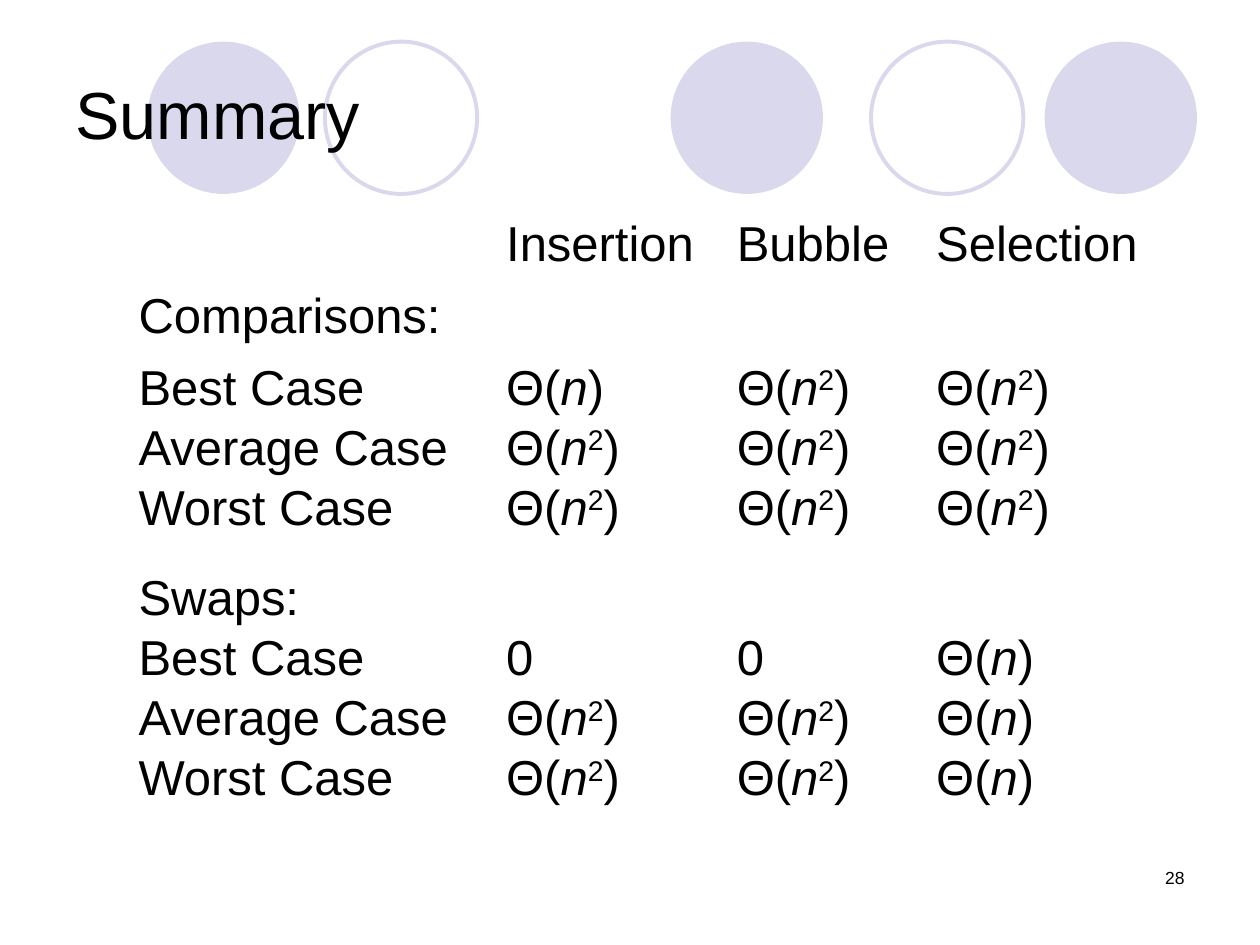
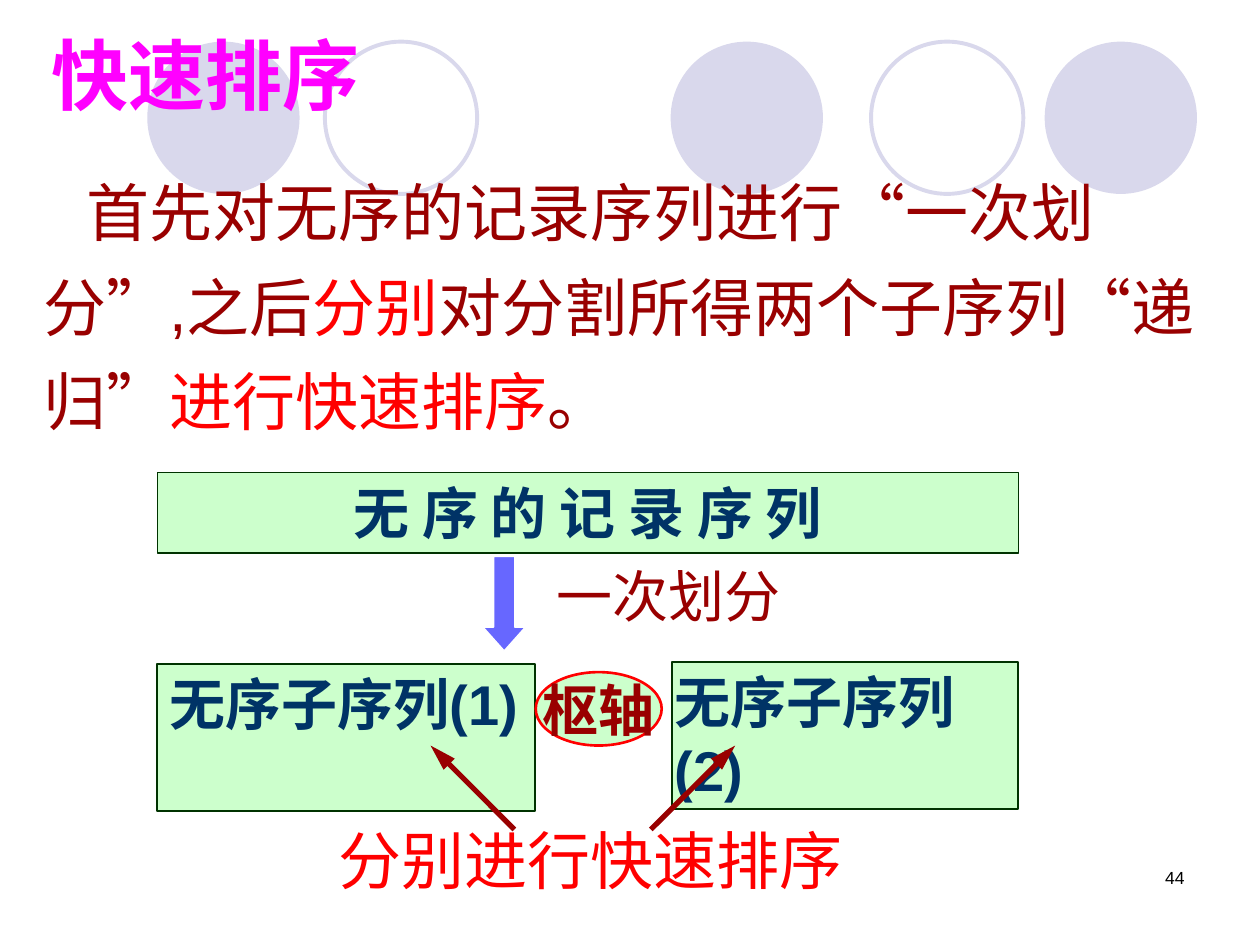
import pptx
import pptx.util
import pptx.dml.color
import pptx.enum.shapes
import pptx.enum.text
import pptx.oxml.ns
import lxml.etree

Cm = pptx.util.Cm
Pt = pptx.util.Pt
SHAPE = pptx.enum.shapes.MSO_SHAPE
ALIGN = pptx.enum.text.PP_ALIGN
ANCHOR = pptx.enum.text.MSO_ANCHOR
COLORS = {
    "circle": "D9D8EC", "black": "000000", "white": "FFFFFF", "magenta": "FF00FF",
    "maroon": "990000", "red": "FF0000", "mint": "CCFFCC", "green": "003300",
    "navy": "003366", "arrow": "6767FF",
}
RGB = {name: pptx.dml.color.RGBColor.from_string(value) for name, value in COLORS.items()}


def write(tf, text, size, color="black", bold=False, align=ALIGN.LEFT, wrap=True):
    tf.word_wrap = wrap
    p = tf.paragraphs[0]
    p.alignment = align
    p.font.name = "Arial"
    p.font.size = Pt(size)
    p.font.bold = bold
    p.font.color.rgb = RGB[color]
    if text:
        p.add_run().text = text
    return p


def add_shape(slide, kind, box, fill=None, line=None, width=0.75):
    sp = slide.shapes.add_shape(kind, *map(Cm, box))
    sp.shadow.inherit = False
    if fill:
        sp.fill.solid()
        sp.fill.fore_color.rgb = RGB[fill]
    else:
        sp.fill.background()
    if line:
        sp.line.color.rgb = RGB[line]
        sp.line.width = Pt(width)
    else:
        sp.line.fill.background()
    sp.text_frame.vertical_anchor = ANCHOR.TOP
    return sp


prs = pptx.Presentation()
prs.slide_width = Cm(25.4)
prs.slide_height = Cm(19.05)

circles = [(13.52, True), (21.06, True), (2.97, True), (17.56, False), (6.55, False)]
for number in ("28", "44"):
    slide = prs.slides.add_slide(prs.slide_layouts[6])
    for left, filled in circles:
        colors = ("circle", None) if filled else (None, "circle")
        add_shape(slide, SHAPE.OVAL, (left, 0.84, 3.07, 3.07), *colors, 2.25)
    tb = slide.shapes.add_textbox(Cm(18.21), Cm(17.35), Cm(5.92), Cm(1.27))
    write(tb.text_frame, number, 10, align=ALIGN.RIGHT)
summary, quicksort = prs.slides

tb = summary.shapes.add_textbox(Cm(1.27), Cm(1), Cm(22.86), Cm(2.54))
tb.text_frame.vertical_anchor = ANCHOR.MIDDLE
write(tb.text_frame, "Summary", 38)

rows = [
    ("", "Insertion", "Bubble", "Selection"),
    ("Comparisons:", "", "", ""),
    ("Best Case", "Θ(n)", "Θ(n2)", "Θ(n2)"),
    ("Average Case", "Θ(n2)", "Θ(n2)", "Θ(n2)"),
    ("Worst Case", "Θ(n2)", "Θ(n2)", "Θ(n2)"),
    ("Swaps:", "", "", ""),
    ("Best Case", "0", "0", "Θ(n)"),
    ("Average Case", "Θ(n2)", "Θ(n2)", "Θ(n)"),
    ("Worst Case", "Θ(n2)", "Θ(n2)", "Θ(n)"),
]
col_widths = [7.41, 4.65, 4.02, 4.66]
row_heights = [1.45, 1.45, 1.21, 1.21, 1.21, 1.82, 1.21, 1.21, 1.21]
frame = summary.shapes.add_table(len(rows), len(col_widths), Cm(2.54), Cm(4.44),
                                 Cm(sum(col_widths)), Cm(sum(row_heights)))
table = frame.table
table.first_row = False
table.horz_banding = False
for column, width in zip(table.columns, col_widths):
    column.width = Cm(width)
for i, (texts, height) in enumerate(zip(rows, row_heights)):
    table.rows[i].height = Cm(height)
    for j, text in enumerate(texts):
        cell = table.cell(i, j)
        cell.fill.background()
        if text == "Swaps:":
            cell.vertical_anchor = ANCHOR.BOTTOM
            cell.margin_bottom = Cm(0.21)
        is_theta = text.startswith("Θ")
        p = write(cell.text_frame, "" if is_theta else text, 28)
        p.line_spacing = 0.8
        if is_theta:
            for part in ["Θ(", *text[2:-1], ")"]:
                r = p.add_run()
                r.text = part
                if part == "n":
                    r.font.italic = True
                elif part == "2":
                    r._r.get_or_add_rPr().set("baseline", "30000")

labels = [
    ("快速排序", (0.79, 0.43, 8.15, 2.13), 44, "magenta", True),
    ("一次划分", (10.97, 11.2, 5.03, 1.63), 32, "maroon", False),
    ("分别进行快速排序", (6.58, 16.43, 10.67, 1.78), 36, "red", False),
]
for text, box, size, color, bold in labels:
    tb = quicksort.shapes.add_textbox(*map(Cm, box))
    write(tb.text_frame, text, size, color, bold, wrap=False)

tb = quicksort.shapes.add_textbox(Cm(0.62), Cm(3), Cm(24.59), Cm(5.97))
p = write(tb.text_frame, "", 36, "maroon")
p.line_spacing = 1.25
pPr = p._p.get_or_add_pPr()
pPr.set("indent", str(Cm(0.88)))
pPr.set("hangingPunct", "0")
for text, color in [
    ("首先对无序的记录序列进行“一次划分”,之后", "maroon"),
    ("分别", "red"),
    ("对分割所得两个子序列“递归”", "maroon"),
    ("进行快速排序", "red"),
    ("。", "maroon"),
]:
    r = p.add_run()
    r.text = text
    r.font.color.rgb = RGB[color]

sequences = [
    ("无 序 的 记 录 序 列", (3.17, 9.52, 17.36, 1.63), 0.75, ALIGN.CENTER),
    ("无序子序列(1)", (3.17, 13.38, 7.62, 2.97), 1, ALIGN.LEFT),
    ("无序子序列(2)", (13.55, 13.34, 6.98, 2.97), 1, ALIGN.LEFT),
]
for text, box, width, align in sequences:
    sp = add_shape(quicksort, SHAPE.RECTANGLE, box, "mint", "green", width)
    write(sp.text_frame, text, 32, "navy", True, align)
sp.text_frame.margin_left = Cm(0.05)
sp.text_frame.margin_right = 0

pivot = add_shape(quicksort, SHAPE.OVAL, (10.8, 13.55, 2.54, 1.48), "mint", "red", 1.5)
pivot.text_frame.vertical_anchor = ANCHOR.MIDDLE
write(pivot.text_frame, "枢轴", 32, "maroon", True, ALIGN.CENTER, False)

down = add_shape(quicksort, SHAPE.DOWN_ARROW, (9.74, 11.22, 0.85, 1.9), "arrow", "white")
down.adjustments[0] = 0.5
down.adjustments[1] = 0.56

for start, end in [(10.37, 8.68), (13.12, 14.82)]:
    cx = quicksort.shapes.add_connector(pptx.enum.shapes.MSO_CONNECTOR.STRAIGHT,
                                        Cm(start), Cm(16.72), Cm(end), Cm(15.03))
    cx.line.color.rgb = RGB["maroon"]
    cx.line.width = Pt(3)
    ln = cx.line._get_or_add_ln()
    lxml.etree.SubElement(ln, pptx.oxml.ns.qn("a:tailEnd"), type="triangle", len="lg")
    lxml.etree.SubElement(cx._element.spPr, pptx.oxml.ns.qn("a:effectLst"))

prs.save("out.pptx")
